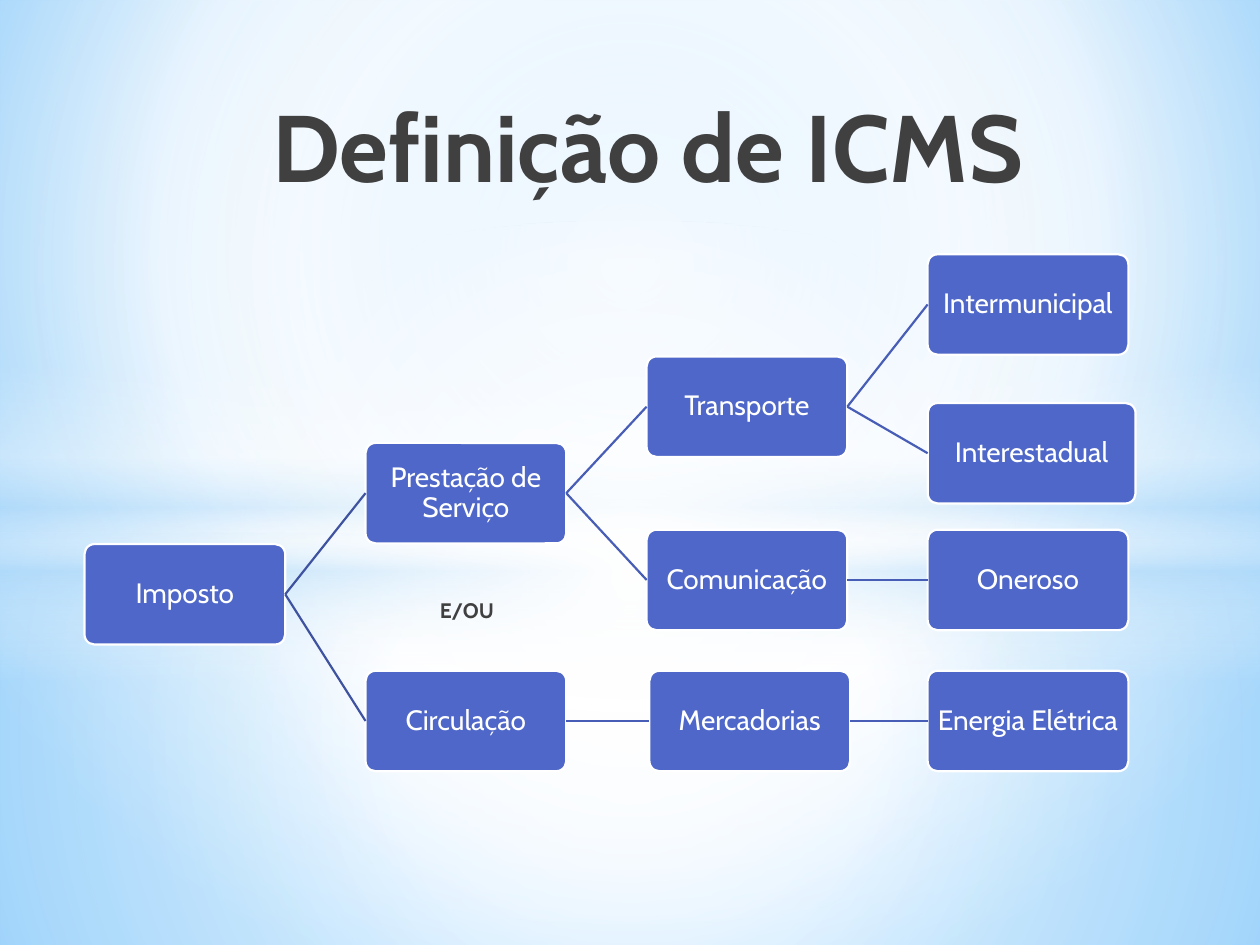
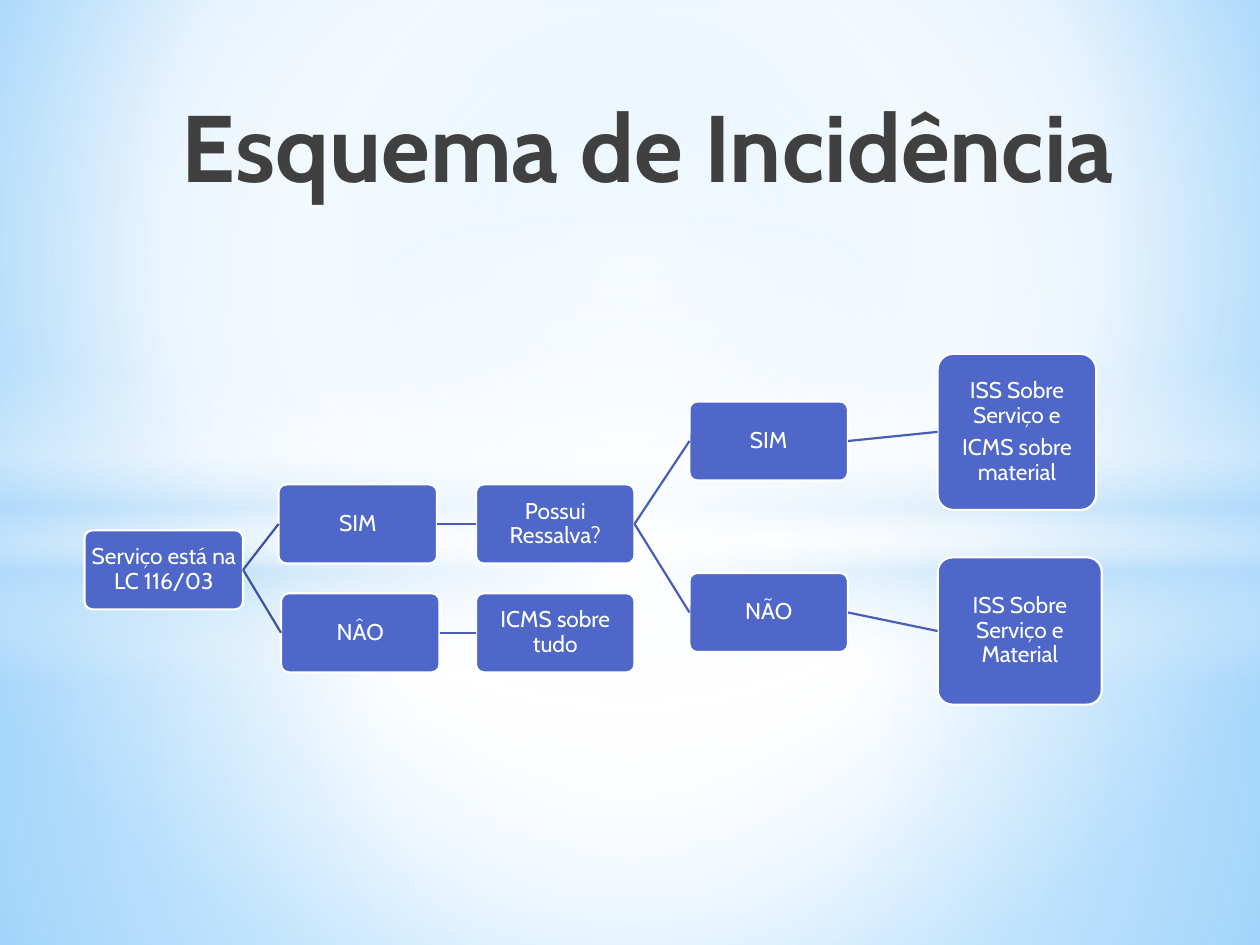
import dataclasses

import pptx
import pptx.dml.color
import pptx.enum.shapes
import pptx.enum.text
import pptx.oxml.ns
import pptx.util
from lxml import etree

Pt = pptx.util.Pt
RGB = pptx.dml.color.RGBColor.from_string
Shape = pptx.enum.shapes.MSO_SHAPE
Align = pptx.enum.text.PP_ALIGN
Anchor = pptx.enum.text.MSO_ANCHOR
qn = pptx.oxml.ns.qn

WIDE, HIGH = 720, 540


@dataclasses.dataclass(frozen=True)
class Theme:
    font: str = "Cabin"
    ink: str = "404040"
    white: str = "FFFFFF"
    pale: str = "B4DCFA"
    sky: str = "9ED5FF"
    deep: str = "5BB9FF"
    box: str = "4E67C8"
    stem: str = "3E52A0"
    twig: str = "475DB6"
    title: int = 54
    large: int = 16
    small: int = 13
    note: int = 12
    edge: float = 1.25


def blend(holder, stops, focus=None):
    """Swap the holder's solid fill for a gradient.

    Stops are (place, colour, opacity) in percent; focus holds the left, top,
    right and bottom insets of a round gradient, None means top to bottom.
    """
    grad = etree.Element(qn("a:gradFill"), rotWithShape="1")
    stages = etree.SubElement(grad, qn("a:gsLst"))
    for place, color, alpha in stops:
        stage = etree.SubElement(stages, qn("a:gs"), pos=str(place * 1000))
        tint = etree.SubElement(stage, qn("a:srgbClr"), val=color)
        if alpha < 100:
            etree.SubElement(tint, qn("a:alpha"), val=str(alpha * 1000))
    if focus:
        round_fill = etree.SubElement(grad, qn("a:path"), path="circle")
        sides = {side: str(inset * 1000) for side, inset in zip("ltrb", focus)}
        etree.SubElement(round_fill, qn("a:fillToRect"), sides)
    else:
        etree.SubElement(grad, qn("a:lin"), ang="5400000", scaled="0")
    holder.replace(holder.find(qn("a:solidFill")), grad)


class Deck:
    def __init__(self, theme):
        self.theme = theme
        self.show = pptx.Presentation()
        self.show.slide_width, self.show.slide_height = Pt(WIDE), Pt(HIGH)
        self.layout = self.show.slide_layouts[5]
        self.slide = None

    def style(self, para, size, color, bold=False):
        font = para.font
        font.name, font.size, font.bold = self.theme.font, Pt(size), bold
        font.color.rgb = RGB(color)

    def sky(self):
        """Paint the shared background and its glowing bands on the layout."""
        t = self.theme
        self.layout.background.fill.solid()
        back = self.layout.element.find(".//" + qn("p:bgPr"))
        blend(back, [(0, t.sky, 100), (60, t.white, 100), (100, t.deep, 100)],
              (20, 10, 20, 60))
        mid = (50, 50, 50, 50)
        split = 304.6
        bands = [
            (Shape.RECTANGLE, split, HIGH - split, mid,
             [(0, t.white, 91), (37, t.white, 76), (100, t.pale, 79)]),
            (Shape.RECTANGLE, 0, split, mid,
             [(0, t.white, 89), (48, t.white, 62), (100, t.pale, 79)]),
            (Shape.RECTANGLE, 208.8, 180, None,
             [(0, t.white, 0), (29, t.white, 30), (45, t.pale, 40),
              (55, t.white, 26), (65, t.pale, 60), (100, t.white, 0)]),
            (Shape.OVAL, 126, 401.8, mid, [(0, t.white, 100), (54, t.white, 0)]),
        ]
        for spot, (kind, top, tall, focus, stops) in enumerate(bands, 2):
            band = self.slide.shapes.add_shape(kind, 0, Pt(top), Pt(WIDE), Pt(tall))
            band.shadow.inherit = False
            band.line.fill.background()
            band.fill.solid()
            blend(band.element.spPr, stops, focus)
            self.layout.shapes.element.insert(spot, band.element)

    def page(self, text):
        self.slide = self.show.slides.add_slide(self.layout)
        title = self.slide.shapes.title
        title.left, title.top = Pt(60), Pt(43.2)
        title.width, title.height = Pt(606), Pt(79.2)
        frame = title.text_frame
        frame.text = text
        frame.auto_size = pptx.enum.text.MSO_AUTO_SIZE.NONE
        frame.word_wrap = True
        frame.vertical_anchor = Anchor.MIDDLE
        frame.margin_left = Pt(21.6)
        frame.paragraphs[0].alignment = Align.CENTER
        self.style(frame.paragraphs[0], self.theme.title, self.theme.ink, True)

    def note(self, text, left, top, wide, tall):
        frame = self.slide.shapes.add_textbox(
            Pt(left), Pt(top), Pt(wide), Pt(tall)).text_frame
        frame.word_wrap = True
        frame.margin_left = Pt(21.6)
        frame.text = text
        self.style(frame.paragraphs[0], self.theme.note, self.theme.ink, True)

    def node(self, text, left, mid, size, wide, tall):
        """Add a box whose vertical middle is at mid."""
        box = self.slide.shapes.add_shape(
            Shape.ROUNDED_RECTANGLE, Pt(left), Pt(mid - tall / 2), Pt(wide), Pt(tall))
        box.adjustments[0] = 0.1
        box.shadow.inherit = False
        box.fill.solid()
        box.fill.fore_color.rgb = RGB(self.theme.box)
        box.line.color.rgb = RGB(self.theme.white)
        box.line.width = Pt(self.theme.edge)
        frame = box.text_frame
        frame.margin_left = frame.margin_right = Pt(0.7)
        frame.margin_top = frame.margin_bottom = Pt(0.7)
        frame.word_wrap = True
        frame.vertical_anchor = Anchor.MIDDLE
        frame.text = text
        for para in frame.paragraphs:
            para.alignment = Align.CENTER
            para.line_spacing = 0.9
            para.space_after = Pt(round(size * 0.35, 1))
            self.style(para, size, self.theme.white)
        return box

    def link(self, start, end, color):
        line = self.slide.shapes.add_connector(
            pptx.enum.shapes.MSO_CONNECTOR.STRAIGHT, 0, 0, 0, 0)
        line.begin_connect(start, 3)
        line.end_connect(end, 1)
        line.line.color.rgb = RGB(color)
        line.line.width = Pt(self.theme.edge)
        etree.SubElement(line.element.spPr, qn("a:effectLst"))

    def tree(self, nodes, size, wide, tall):
        """Draw (parent index, text, left, mid[, width, height]) rows."""
        boxes = []
        for root, text, left, mid, *own in nodes:
            box = self.node(text, left, mid, size, *(own or (wide, tall)))
            if root is not None:
                color = self.theme.twig if root else self.theme.stem
                self.link(boxes[root], box, color)
            boxes.append(box)


def main():
    theme = Theme()
    deck = Deck(theme)

    deck.page("Definição de ICMS")
    deck.sky()
    cols = [48.3 + 160.6 * n for n in range(4)]
    wide, tall = 114.7, 57.4
    deck.tree([
        (None, "Imposto", cols[0], 339.6),
        (0, "Prestação de Serviço", cols[1], 281.8),
        (1, "Transporte", cols[2], 232.4),
        (2, "Intermunicipal", cols[3], 174),
        (2, "Interestadual", cols[3], 259, 118.8, tall),
        (1, "Comunicação", cols[2], 331.4),
        (5, "Oneroso", cols[3], 331.4),
        (0, "Circulação", cols[1], 412),
        (7, "Mercadorias", cols[2] + 1.6, 412),
        (8, "Energia Elétrica", cols[3], 412),
    ], theme.large, wide, tall)
    deck.note("E/OU", 229.7, 337.7, 73.4, 22.3)

    deck.page("Esquema de Incidência")
    cols = [48.3, 159.2, 272, 394, 535.8]
    deck.tree([
        (None, "Serviço está na LC 116/03", cols[0], 325.6),
        (0, "SIM", cols[1], 299.4),
        (1, "Possui Ressalva?", cols[2], 299.4),
        (2, "SIM", cols[3], 252),
        (3, "ISS Sobre Serviço e\nICMS sobre material", cols[4], 246.8, 90.6, 89.2),
        (2, "NÃO", cols[3], 350),
        (5, "ISS Sobre Serviço e Material", cols[4], 360.6, 93.8, 84.2),
        (0, "NÂO", cols[1] + 1.4, 361.6),
        (7, "ICMS sobre tudo", cols[2], 361.6),
    ], theme.small, 90.6, 45.2)

    deck.show.save("out.pptx")


if __name__ == "__main__":
    main()
